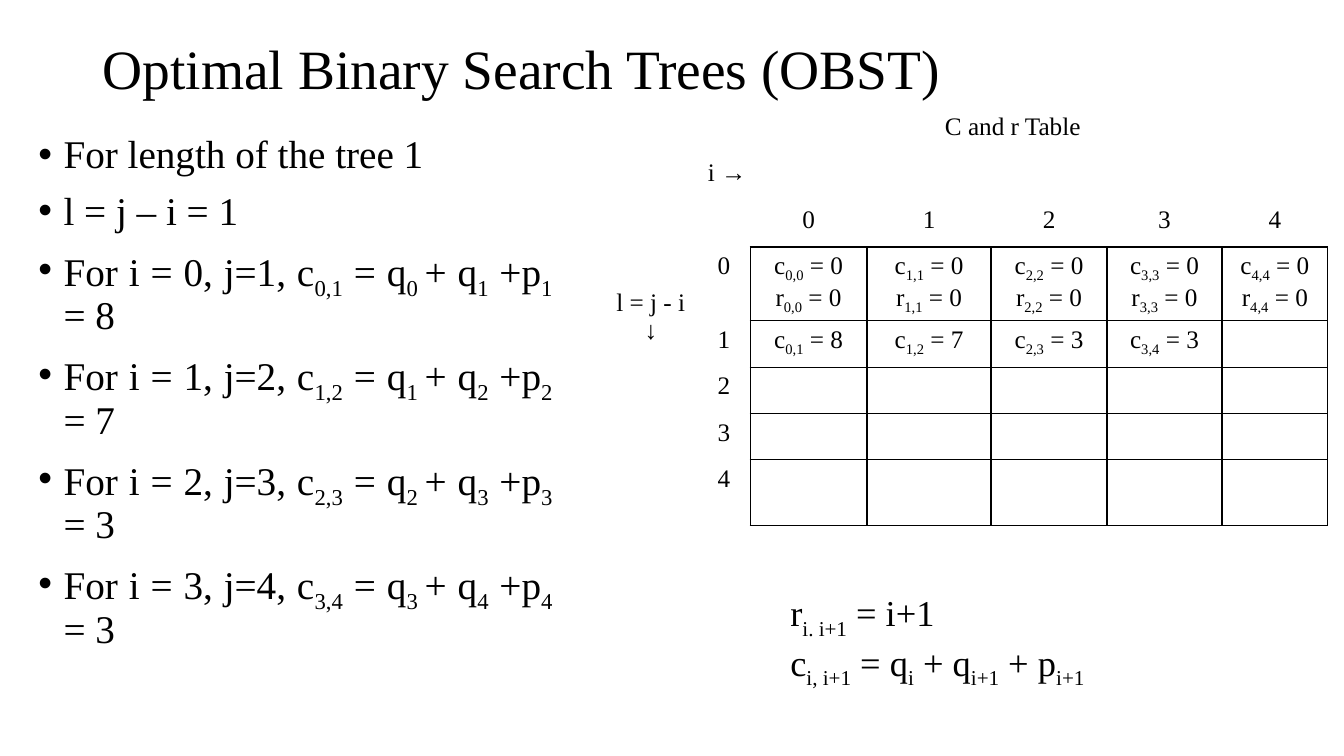
"""Build the slide on optimal binary search trees with its C and r table."""
from lxml.etree import SubElement
from pptx import Presentation
from pptx.dml.color import RGBColor
from pptx.enum.text import MSO_ANCHOR, MSO_AUTO_SIZE, PP_ALIGN
from pptx.oxml import parse_xml
from pptx.oxml.ns import nsdecls, qn
from pptx.util import Inches, Pt

FONT = "Times New Roman"
BLACK = "000000"
TITLE = "Optimal Binary Search Trees (OBST)"
TABLE_TITLE = "C and r Table"
ROW_AXIS = "l = j - i\n↓"
COLUMN_AXIS = "i →"
COSTS = [8, 7, 3, 3]
FORMULAS = "r~i. i+1~ = i+1\nc~i, i+1~ = q~i~ + q~i+1~ + p~i+1~"
STEPS = "\n".join(
    ["For length of the tree 1", "l = j – i = 1"]
    + [f"For i = {i}, j={i + 1}, c~{i},{i + 1}~ = q~{i} ~+ q~{i + 1}~ +p~{i + 1}~ = {cost}"
       for i, cost in enumerate(COSTS)])

COLUMN_WIDTHS = [0.93, 0.52, 1.16, 1.23, 1.15, 1.14, 1.05]
ROW_HEIGHT = 0.46
ROW_COUNT = 8
TABLE_HEIGHT = 3.9
FIRST_ROW, FIRST_COLUMN = 3, 2
NODE_COUNT = 5


def color(hex_value):
    return RGBColor.from_string(hex_value)


def place(shape, left, top, width, height):
    shape.left, shape.top = Inches(left), Inches(top)
    shape.width, shape.height = Inches(width), Inches(height)


def write(frame, text, size, alignment, line_spacing=None, space_before=0, bullet=False):
    """Write lines into a text frame; text between tildes becomes subscript."""
    for index, line in enumerate(text.split("\n")):
        paragraph = frame.add_paragraph() if index else frame.paragraphs[0]
        if bullet:
            properties = paragraph._p.get_or_add_pPr()
            properties.set("marL", str(Inches(0.25)))
            properties.set("indent", str(-Inches(0.25)))
            SubElement(properties, qn("a:buFont"), typeface="Arial")
            SubElement(properties, qn("a:buChar"), char="•")
        paragraph.alignment = alignment
        paragraph.space_before = Pt(space_before if index else 0)
        if line_spacing:
            paragraph.line_spacing = line_spacing
        paragraph.font.name = FONT
        paragraph.font.size = Pt(size)
        paragraph.font.color.rgb = color(BLACK)
        for position, part in enumerate(line.split("~")):
            if part:
                run = paragraph.add_run()
                run.text = part
                if position % 2:
                    run._r.get_or_add_rPr().set("baseline", "-25000")


def set_borders(cell, row, column):
    """Rule the value grid and clear every other edge."""
    inside = row >= FIRST_ROW and column >= FIRST_COLUMN
    above_grid = row == FIRST_ROW - 1 and column >= FIRST_COLUMN
    left_of_grid = column == FIRST_COLUMN - 1 and row >= FIRST_ROW
    edges = {"L": inside, "R": inside or left_of_grid,
             "T": inside, "B": inside or above_grid}
    for index, (side, visible) in enumerate(edges.items()):
        paint = (f'<a:solidFill><a:srgbClr val="{BLACK}"/></a:solidFill>'
                 if visible else "<a:noFill/>")
        border = parse_xml(f'<a:ln{side} {nsdecls("a")} w="{Pt(1)}">{paint}</a:ln{side}>')
        cell._tc.get_or_add_tcPr().insert(index, border)


def table_texts():
    """Map (row, column) to the text of each filled cell."""
    texts = {(0, 0): ROW_AXIS, (0, 1): TABLE_TITLE, (1, 1): COLUMN_AXIS}
    for node in range(NODE_COUNT):
        column = FIRST_COLUMN + node
        texts[FIRST_ROW - 1, column] = str(node)
        texts[FIRST_ROW + node, FIRST_COLUMN - 1] = str(node)
        texts[FIRST_ROW, column] = f"c~{node},{node}~ = 0\nr~{node},{node}~ = 0"
    for node, cost in enumerate(COSTS):
        texts[FIRST_ROW + 1, FIRST_COLUMN + node] = f"c~{node},{node + 1}~ = {cost}"
    return texts


def add_cost_table(slide):
    frame = slide.shapes.add_table(
        ROW_COUNT, len(COLUMN_WIDTHS), Inches(5.99), Inches(1.07),
        Inches(sum(COLUMN_WIDTHS)), Inches(TABLE_HEIGHT))
    table = frame.table
    table.first_row = table.horz_banding = False
    for column, width in zip(table.columns, COLUMN_WIDTHS):
        column.width = Inches(width)
    for row in table.rows:
        row.height = Inches(ROW_HEIGHT)
    frame.height = Inches(TABLE_HEIGHT)

    table.cell(0, 0).merge(table.cell(ROW_COUNT - 1, 0))
    table.cell(0, 1).merge(table.cell(0, len(COLUMN_WIDTHS) - 1))
    table.cell(1, 1).merge(table.cell(1, 2))
    table.cell(0, 0).vertical_anchor = MSO_ANCHOR.MIDDLE

    texts = table_texts()
    for row in range(ROW_COUNT):
        for column in range(len(COLUMN_WIDTHS)):
            cell = table.cell(row, column)
            cell.fill.background()
            set_borders(cell, row, column)
            text = texts.get((row, column))
            if text:
                alignment = PP_ALIGN.LEFT if text == COLUMN_AXIS else PP_ALIGN.CENTER
                write(cell.text_frame, text, 18, alignment)


def main():
    presentation = Presentation()
    presentation.slide_width, presentation.slide_height = Inches(13.33), Inches(7.5)
    slide = presentation.slides.add_slide(presentation.slide_layouts[1])

    title = slide.shapes.title
    place(title, 0.92, 0.4, 11.5, 0.61)
    title.text_frame.auto_size = MSO_AUTO_SIZE.NONE
    title.text_frame.vertical_anchor = MSO_ANCHOR.MIDDLE
    write(title.text_frame, TITLE, 39.6, PP_ALIGN.LEFT, line_spacing=0.9)

    body = slide.placeholders[1]
    place(body, 0.28, 1.29, 5.3, 5.81)
    body.text_frame.auto_size = MSO_AUTO_SIZE.NONE
    write(body.text_frame, STEPS, 28, PP_ALIGN.JUSTIFY,
          line_spacing=0.9, space_before=10, bullet=True)

    add_cost_table(slide)

    formulas = slide.shapes.add_textbox(
        Inches(7.74), Inches(5.81), Inches(4.13), Inches(0.98)).text_frame
    formulas.word_wrap = True
    formulas.auto_size = MSO_AUTO_SIZE.SHAPE_TO_FIT_TEXT
    write(formulas, FORMULAS, 26, PP_ALIGN.JUSTIFY)

    presentation.save("out.pptx")


if __name__ == "__main__":
    main()
